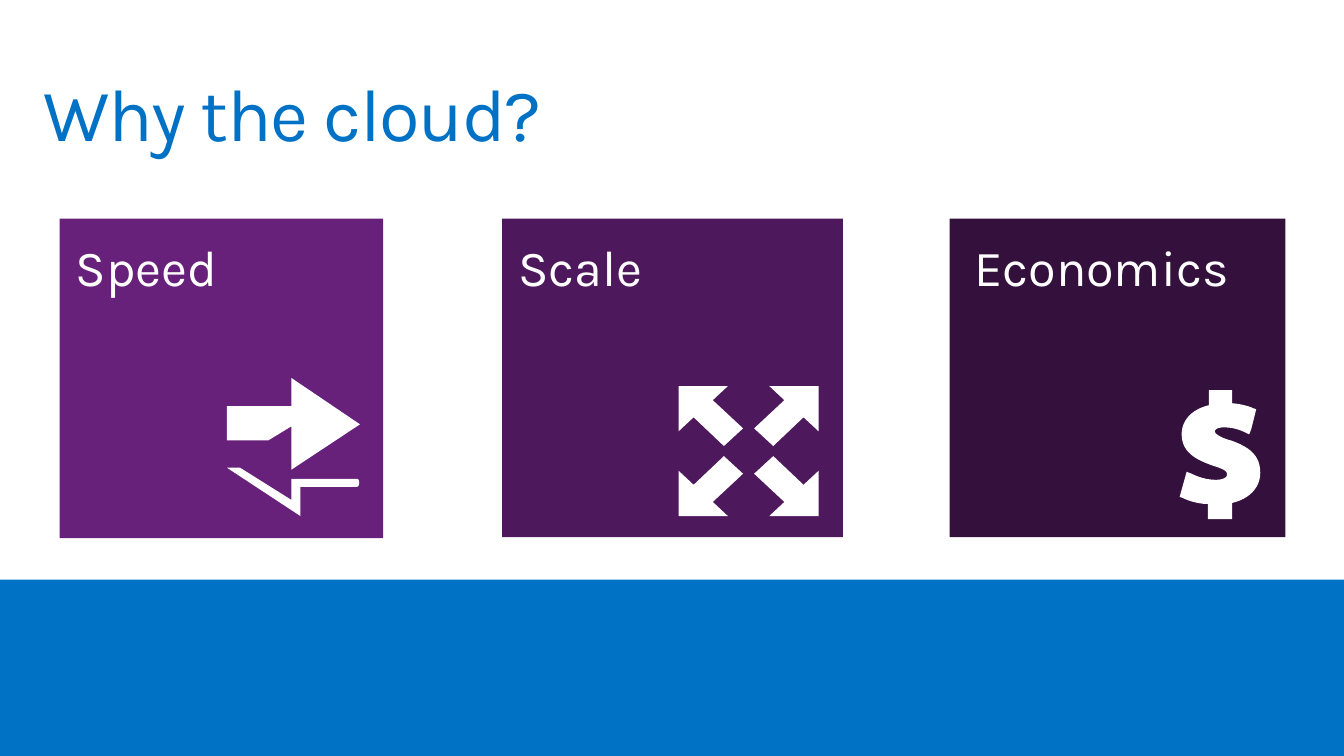
from pptx import Presentation
from pptx.dml.color import RGBColor
from pptx.enum.shapes import MSO_SHAPE
from pptx.enum.text import MSO_ANCHOR, PP_ALIGN
from pptx.util import Inches, Pt

COLORS = {
    "blue": "0072C6",
    "white": "FFFFFF",
    "speed": "68217A",
    "scale": "4E195C",
    "economics": "34103D",
}


def add_text(text, left, top, width, height, size, color, align=PP_ALIGN.LEFT,
             inset=(0.1, 0.1), wrap=True, spacing=None):
    tf = s.shapes.add_textbox(Inches(left), Inches(top), Inches(width), Inches(height)).text_frame
    tf.word_wrap = wrap
    tf.vertical_anchor = MSO_ANCHOR.TOP
    tf.margin_left = tf.margin_right = Inches(inset[0])
    tf.margin_top = tf.margin_bottom = Inches(inset[1])
    p = tf.paragraphs[0]
    p.alignment = align
    p.line_spacing = 0.9
    r = p.add_run()
    r.text = text
    r.font.name = "Karla"
    r.font.size = Pt(size)
    r.font.color.rgb = RGBColor.from_string(COLORS[color])
    if spacing is not None:
        r.font._element.set("spc", str(spacing))


def add_icon(*contours):
    """Draw a white outline; a 2-tuple is a corner, a 6-tuple a Bezier curve."""
    fb = None
    for contour in contours:
        points = []
        for seg in contour:
            if len(seg) == 2:
                points.append(seg)
                continue
            x0, y0 = points[-1]
            x1, y1, x2, y2, x3, y3 = seg
            for t in (i / 12 for i in range(1, 13)):
                a, b, c, d = (1 - t) ** 3, 3 * t * (1 - t) ** 2, 3 * t * t * (1 - t), t ** 3
                points.append((a * x0 + b * x1 + c * x2 + d * x3,
                               a * y0 + b * y1 + c * y2 + d * y3))
        points = [(Inches(x), Inches(y)) for x, y in points]
        if fb is None:
            fb = s.shapes.build_freeform(*points[0], scale=1.0)
        else:
            fb.move_to(*points[0])
        fb.add_line_segments(points[1:], close=True)
    sp = fb.convert_to_shape()
    sp.shadow.inherit = False
    sp.fill.solid()
    sp.fill.fore_color.rgb = RGBColor.from_string(COLORS["white"])
    sp.line.fill.background()


prs = Presentation()
prs.slide_width, prs.slide_height = Inches(13.33), Inches(7.5)
s = prs.slides.add_slide(prs.slide_layouts[6])

# Bottom band and the three tiles
for color, left, top, width, height in [
    ("blue", 0, 5.75, 13.33, 1.75),
    ("economics", 9.42, 2.17, 3.33, 3.16),
    ("scale", 4.98, 2.17, 3.38, 3.16),
    ("speed", 0.59, 2.17, 3.21, 3.17),
]:
    sp = s.shapes.add_shape(MSO_SHAPE.RECTANGLE, Inches(left), Inches(top),
                            Inches(width), Inches(height))
    sp.shadow.inherit = False
    sp.fill.solid()
    sp.fill.fore_color.rgb = RGBColor.from_string(COLORS[color])
    sp.line.fill.background()

# Title and tile labels
add_text("Why the cloud?", 0.33, 0.67, 7.58, 1, size=52.9, color="blue", spacing=-100)
for label, left, width in [("Economics", 9.3, 3.25), ("Scale", 4.91, 1.69), ("Speed", 0.5, 1.91)]:
    add_text(label, left, 2.25, width, 0.86, size=36, color="white",
             align=PP_ALIGN.CENTER, inset=(0.2, 0.16), wrap=False)

# Economics: dollar sign
add_icon([
    (12.22, 5.15), (12.22, 4.99), (12.39, 4.95, 12.5, 4.84, 12.5, 4.69),
    (12.5, 4.53, 12.41, 4.44, 12.21, 4.37), (12.13, 4.35, 12.05, 4.31, 12.05, 4.28),
    (12.05, 4.25, 12.1, 4.24, 12.14, 4.24), (12.24, 4.24, 12.31, 4.27, 12.35, 4.29),
    (12.39, 4.31), (12.41, 4.26), (12.46, 4.06), (12.43, 4.05),
    (12.39, 4.03, 12.32, 4.01, 12.22, 4), (12.22, 3.87), (11.99, 3.87), (11.99, 4.02),
    (11.82, 4.06, 11.72, 4.17, 11.72, 4.31), (11.72, 4.5, 11.89, 4.57, 12.03, 4.62),
    (12.16, 4.66, 12.17, 4.68, 12.17, 4.71), (12.17, 4.74, 12.12, 4.76, 12.06, 4.76),
    (11.95, 4.76, 11.86, 4.72, 11.82, 4.7), (11.77, 4.68), (11.7, 4.93), (11.73, 4.94),
    (11.79, 4.97, 11.89, 5, 11.98, 5), (11.98, 5.15),
])

# Scale: one corner arrow mirrored about the icon's centre
center_x, center_y = 7.425, 4.475
corner_arrow = [(0.695, 0.645), (0.695, 0.195), (0.545, 0.335), (0.245, 0.05),
                (0.055, 0.225), (0.355, 0.505), (0.205, 0.645)]
for sign_y in (-1, 1):
    for sign_x in (-1, 1):
        add_icon([(center_x + sign_x * dx, center_y + sign_y * dy) for dx, dy in corner_arrow])

# Speed: solid arrow right, outlined arrow left
add_icon(
    [(3.57, 4.21), (2.89, 3.75), (2.89, 4.03), (2.25, 4.03), (2.25, 4.37),
     (2.66, 4.37), (2.89, 4.23), (2.89, 4.66)],
    [(2.38, 4.64), (2.89, 4.96), (2.89, 4.75), (3.54, 4.75),
     (3.57, 4.75, 3.57, 4.83, 3.54, 4.83), (2.98, 4.83), (2.98, 5.12), (2.25, 4.64)],
)

prs.save("out.pptx")
